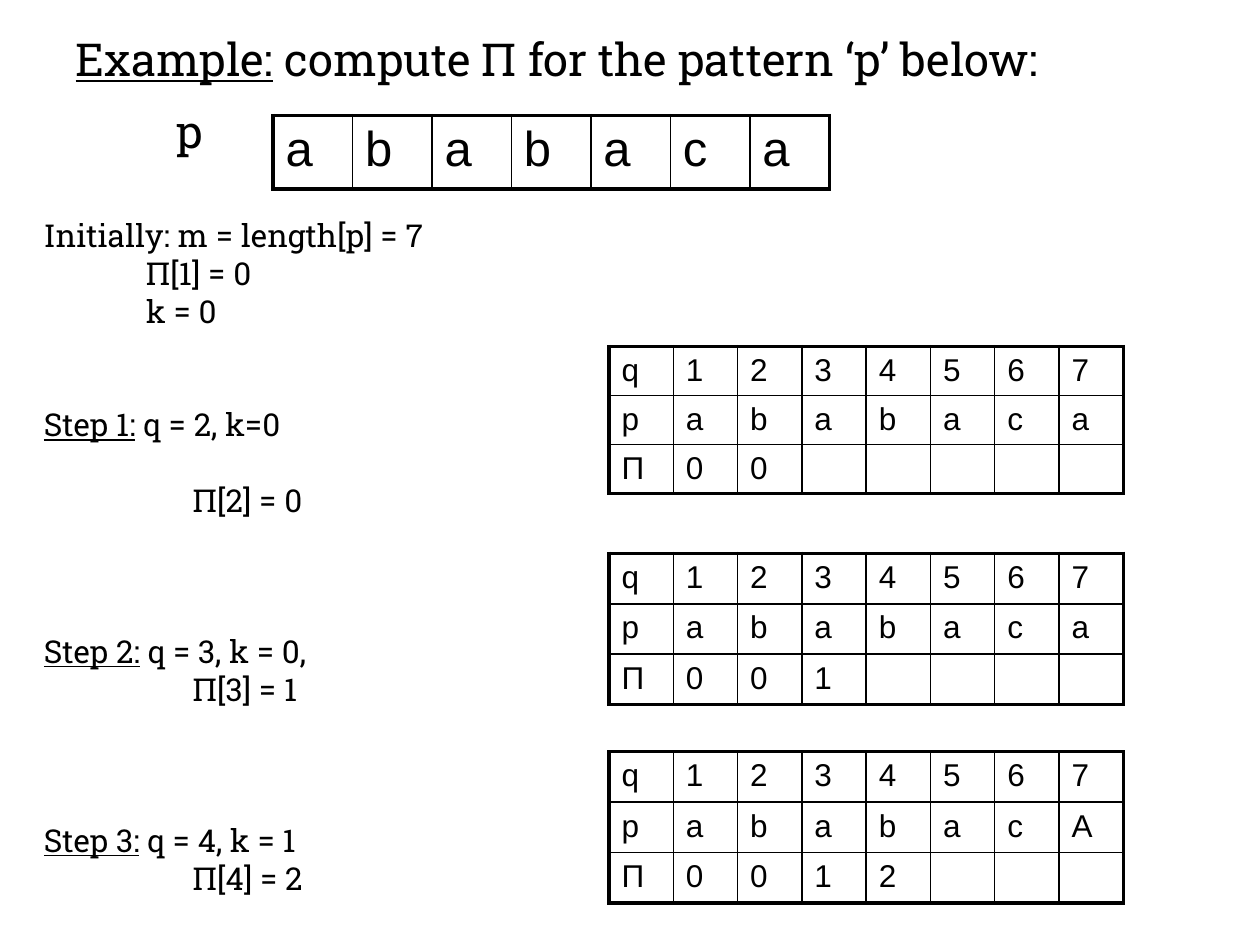
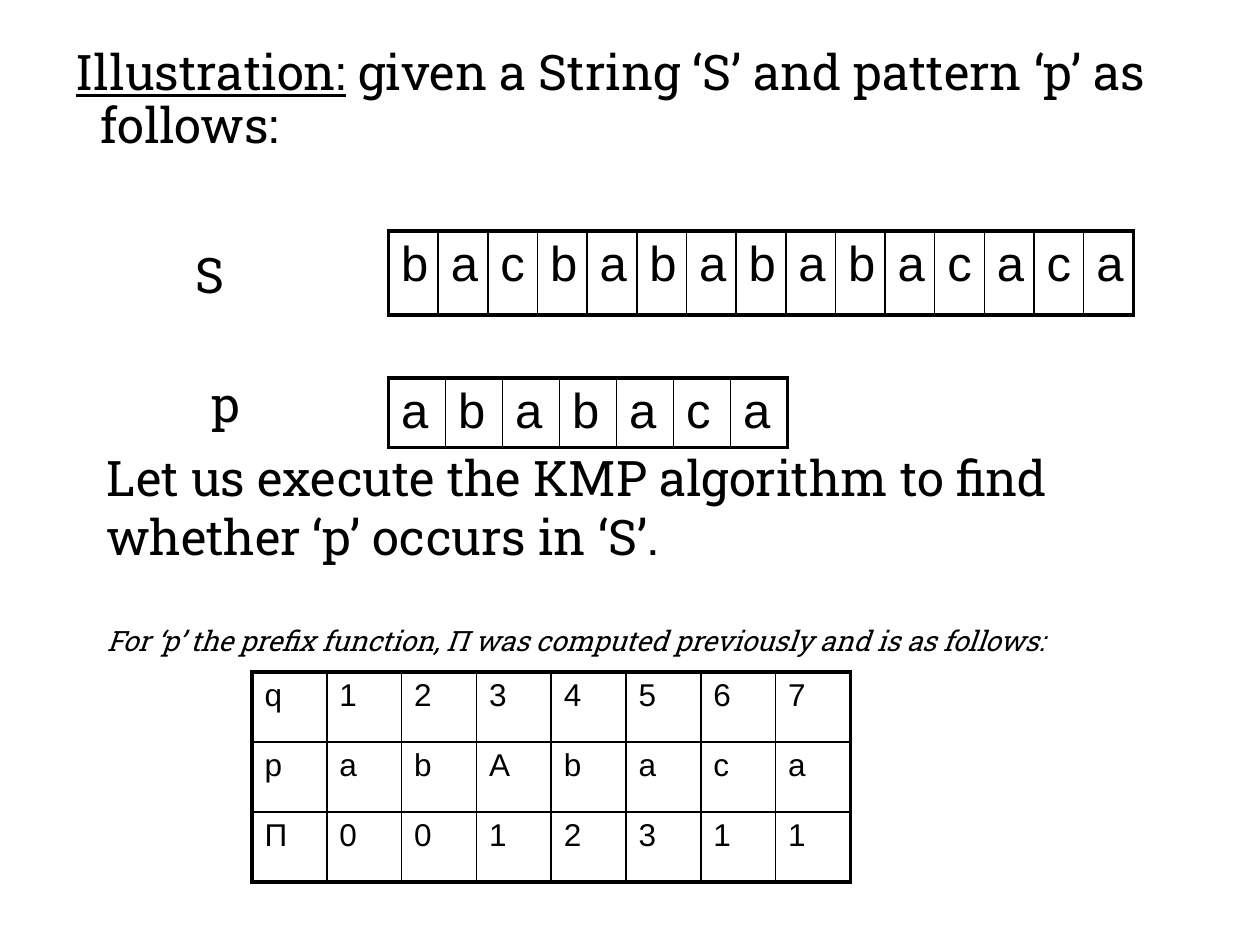
from dataclasses import dataclass

from lxml.etree import SubElement
from pptx import Presentation
from pptx.dml.color import RGBColor
from pptx.enum.text import MSO_ANCHOR, MSO_AUTO_SIZE, PP_ALIGN
from pptx.oxml.ns import qn
from pptx.util import Emu, Inches, Pt


@dataclass(frozen=True)
class Theme:
    ink: str = "000000"
    paper: str = "FFFFFF"
    prose: str = "Roboto Slab"
    cells: str = "Arial"
    large: float = 28
    title: float = 25.9
    body: float = 18
    note: float = 16
    outer_border: float = 2.25
    inner_border: float = 1


THEME = Theme()
INK = RGBColor.from_string(THEME.ink)

# The slide is a grid of 120 columns by 90 rows of square units.
UNIT = Inches(10) // 120
BODY_LINE = THEME.body * 1.2
LARGE_LINE = THEME.large * 1.2


def write(frame, text, size=THEME.body, face=THEME.prose, lead="", italic=False,
          indent=0, hanging=0, gap=0, spacing=None):
    """Add a paragraph, opened by an underlined lead if one is given."""
    paragraph = frame.paragraphs[0]
    if paragraph.runs:
        paragraph = frame.add_paragraph()
    paragraph.alignment = PP_ALIGN.LEFT
    paragraph.space_before = Pt(gap)
    paragraph.line_spacing = spacing
    properties = paragraph._p.get_or_add_pPr()
    properties.set("marL", str(Inches(indent + hanging)))
    properties.set("indent", str(Inches(-hanging)))
    for part, underlined in ((lead, True), (text, False)):
        if part:
            run = paragraph.add_run()
            run.text = part
            font = run.font
            font.size, font.name = Pt(size), face
            font.italic, font.underline = italic, underlined
            font.color.rgb = INK


def add_grid(slide, rows, at, size=THEME.body):
    """Add a table of equal cells with a heavy outer border; a row is a string of letters."""
    left, top, width, height = (Emu(round(n * UNIT)) for n in at)
    last_row, last_column = len(rows) - 1, len(rows[0]) - 1
    table = slide.shapes.add_table(len(rows), len(rows[0]), left, top, width, height).table
    table.first_row = table.horz_banding = False
    for r, letters in enumerate(rows):
        for c, letter in enumerate(letters):
            cell = table.cell(r, c)
            cell.margin_bottom = 0
            cell.vertical_anchor = MSO_ANCHOR.TOP
            write(cell.text_frame, letter.strip(), size=size, face=THEME.cells)
            edges = {"L": c == 0, "R": c == last_column, "T": r == 0, "B": r == last_row}
            properties = cell._tc.get_or_add_tcPr()
            for side, is_outer in edges.items():
                weight = THEME.outer_border if is_outer else THEME.inner_border
                border = SubElement(properties, qn(f"a:ln{side}"), w=str(Pt(weight)))
                SubElement(SubElement(border, qn("a:solidFill")), qn("a:srgbClr"), val=THEME.ink)
            cell.fill.background()


deck = Presentation()
deck.slide_width, deck.slide_height = 120 * UNIT, 90 * UNIT
background = deck.slide_master.background.fill
background.solid()
background.fore_color.rgb = RGBColor.from_string(THEME.paper)

# Titles
titles = [
    ("Example:", " compute Π for the pattern ‘p’ below:", THEME.title, (6, 3, 97, 7)),
    ("Illustration:", " given a String ‘S’ and pattern ‘p’ as follows:", THEME.large, (6, 4, 108, 12)),
]
slides = []
for lead, text, size, at in titles:
    slide = deck.slides.add_slide(deck.slide_layouts[5])
    title = slide.shapes.title
    title.left, title.top, title.width, title.height = (n * UNIT for n in at)
    frame = title.text_frame
    frame.auto_size, frame.word_wrap = MSO_AUTO_SIZE.NONE, True
    frame.vertical_anchor = MSO_ANCHOR.TOP
    write(frame, text, size=size, lead=lead, hanging=0.2, spacing=0.9)
    slides.append(slide)
example, illustration = slides

# Working of the prefix function, step by step
result = {"indent": 1.18}
start = {"indent": 0.81}
working = [
    ("Initially: m = length[p] = 7", {}),
    ("Π[1] = 0", start),
    ("k = 0", start),
    (" q = 2, k=0", {"lead": "Step 1:", "gap": 2 * BODY_LINE}),
    ("Π[2] = 0", {**result, "gap": BODY_LINE}),
    (" q = 3, k = 0,", {"lead": "Step 2:", "gap": 3 * BODY_LINE}),
    ("Π[3] = 1", result),
    (" q = 4, k = 1", {"lead": "Step 3:", "gap": 3 * BODY_LINE}),
    ("Π[4] = 2", result),
]
task = [
    ("Let us execute the KMP algorithm to find whether ‘p’ occurs in ‘S’.", {"size": THEME.large}),
    ("For ‘p’ the prefix function, Π was computed previously and is as follows:",
     {"size": THEME.note, "italic": True, "gap": LARGE_LINE}),
]

texts = [
    (example, (15.6, 9.2, 5, 6.5), [("p", {"size": THEME.title})]),
    (example, (3, 20, 51, 66), working),
    (illustration, (17.4, 22.7, 5, 7), [("S", {"size": THEME.large})]),
    (illustration, (19, 35, 5, 7), [("p", {"size": THEME.large})]),
    (illustration, (9, 42, 97, 21), task),
]
for slide, at, paragraphs in texts:
    frame = slide.shapes.add_textbox(*(Emu(round(n * UNIT)) for n in at)).text_frame
    frame.word_wrap = True
    for text, style in paragraphs:
        write(frame, text, **style)

# Strings, one letter to a cell
PATTERN = "ababaca"
add_grid(example, [PATTERN], (26, 11, 53, 7), size=THEME.large)
add_grid(illustration, ["bacbabababacaca"], (37, 22, 71, 8), size=THEME.large)
add_grid(illustration, [PATTERN], (37, 36, 38, 6.6), size=THEME.large)

# Prefix function tables; a space leaves a cell empty
POSITIONS = "q1234567"
prefix_tables = [
    (example, PATTERN, "00", (58, 33, 49, 14)),
    (example, PATTERN, "001", (58, 52.7, 49, 14.4)),
    (example, "ababacA", "0012", (58, 71.6, 49, 14.4)),
    (illustration, "abAbaca", "0012311", (24, 64, 57, 20)),
]
for slide, pattern, values, at in prefix_tables:
    add_grid(slide, [POSITIONS, "p" + pattern, "Π" + values.ljust(len(pattern))], at)

deck.save("out.pptx")
